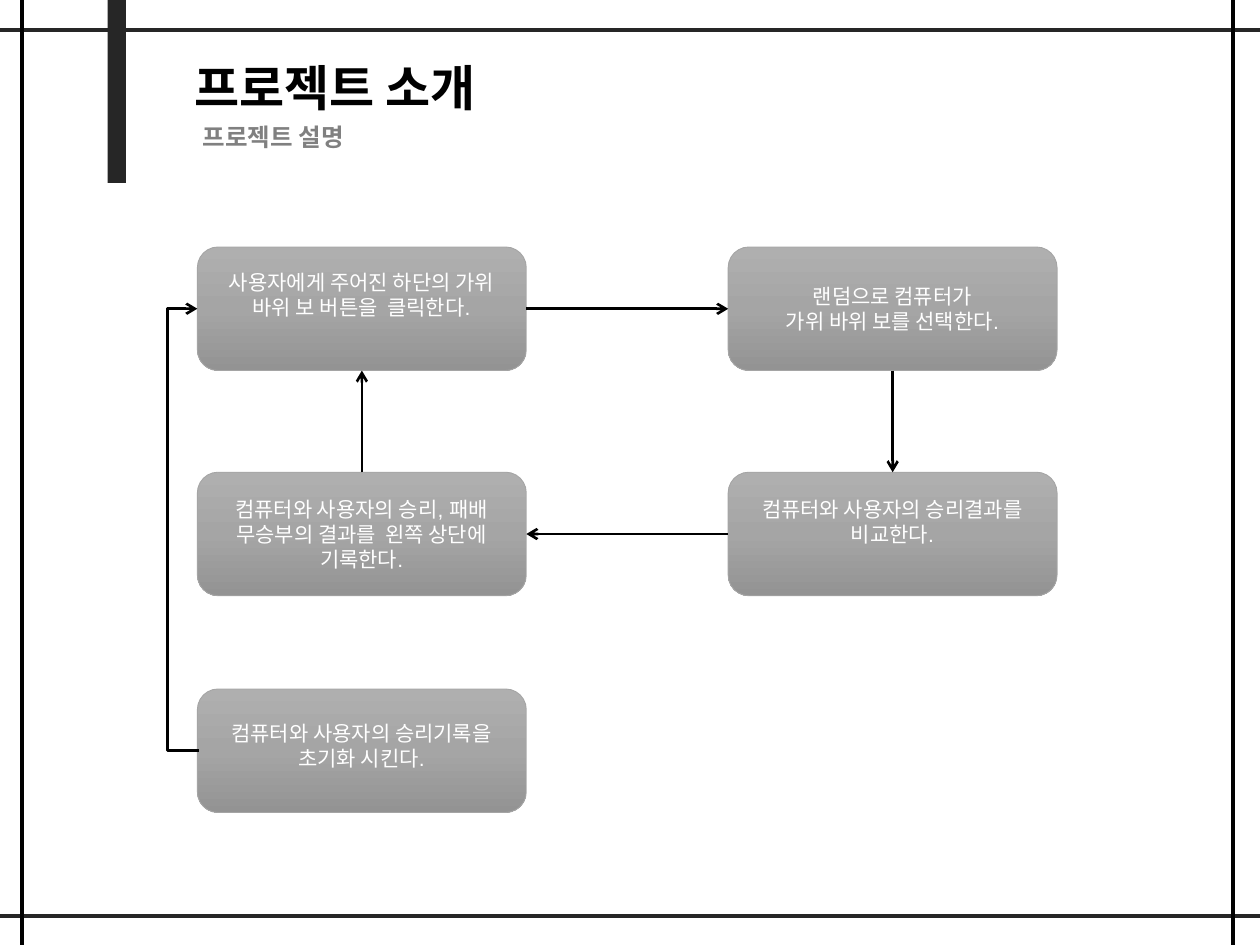
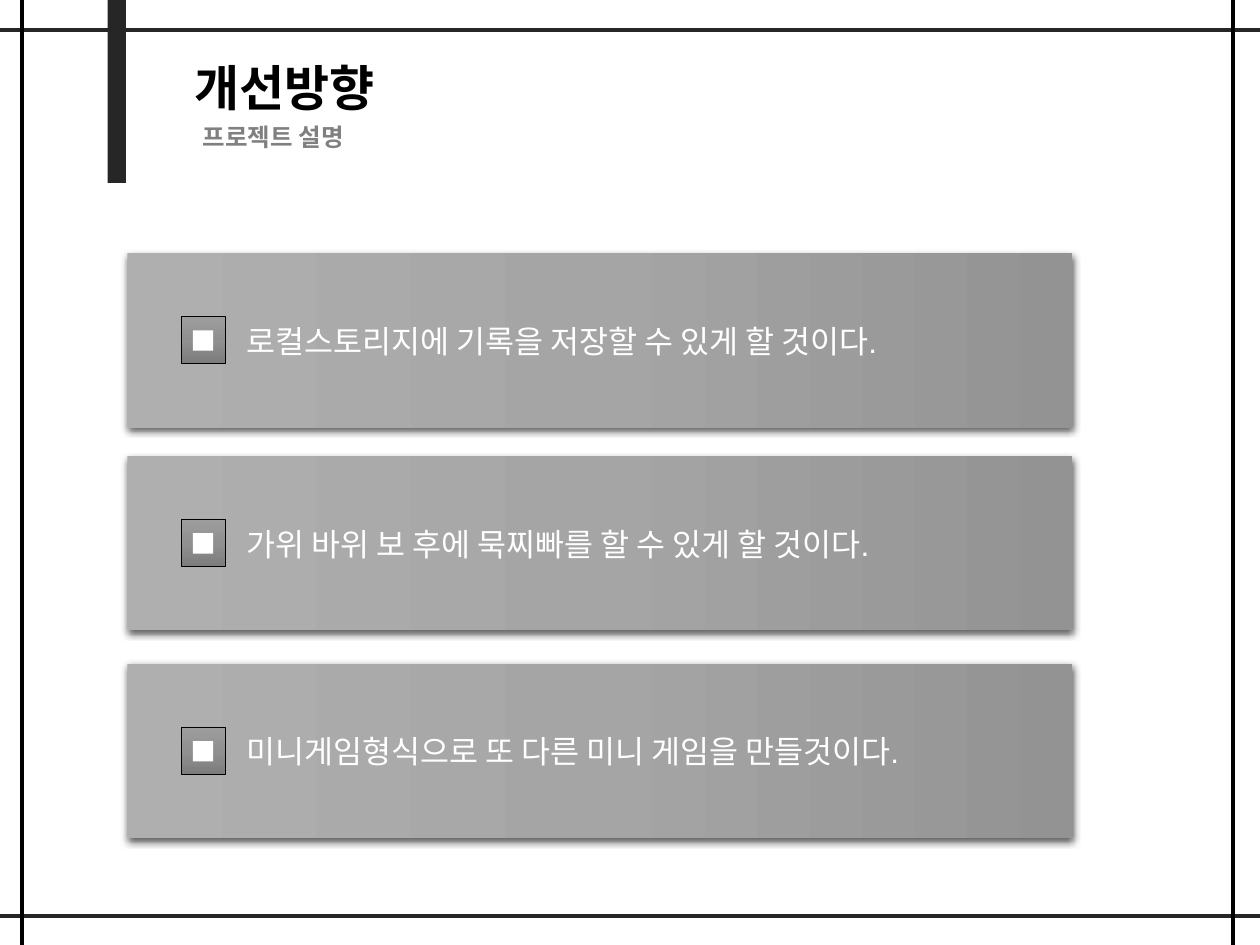
"""Build two slides on a rock-paper-scissors project: its flow and its improvements."""
import copy

import pptx
import pptx.dml.color
import pptx.enum.shapes
import pptx.enum.text
import pptx.oxml
import pptx.oxml.ns
import pptx.util
from lxml import etree

Cm = pptx.util.Cm
Pt = pptx.util.Pt
RGBColor = pptx.dml.color.RGBColor
SHAPE = pptx.enum.shapes.MSO_SHAPE
CONNECTOR = pptx.enum.shapes.MSO_CONNECTOR
ALIGN = pptx.enum.text.PP_ALIGN
qn = pptx.oxml.ns.qn

BLACK = RGBColor(0x00, 0x00, 0x00)
WHITE = RGBColor(0xFF, 0xFF, 0xFF)
CHARCOAL = RGBColor(0x26, 0x26, 0x26)
SUBTITLE_GRAY = RGBColor(0x80, 0x80, 0x80)
MID_GRAY = RGBColor(0xA5, 0xA5, 0xA5)
PANEL_GRAYS = (RGBColor(0xAF, 0xAF, 0xAF), MID_GRAY, RGBColor(0x93, 0x93, 0x93))
BADGE_GRAYS = (RGBColor(0x9D, 0x9D, 0x9D), RGBColor(0x90, 0x90, 0x90), RGBColor(0x7C, 0x7C, 0x7C))
DOWNWARD, RIGHTWARD = 270, 0

SLIDE_W, SLIDE_H = 25.4, 19.05
STEP_W, STEP_H = 6.63, 2.49
COLUMNS = (3.98, 14.68)
ROWS = (4.98, 9.52, 13.89)
BAR_LEFT, BAR_W, BAR_H = 2.57, 19.05, 3.51

STEPS = {
    "click": (0, 0, 0.33, ["사용자에게 주어진 하단의 가위 바위 보 버튼을  클릭한다."]),
    "choose": (1, 0, 0.61, ["랜덤으로 컴퓨터가", "가위 바위 보를 선택한다."]),
    "compare": (1, 1, 0.36, ["컴퓨터와 사용자의 승리결과를", "비교한다."]),
    "record": (0, 1, 0.36, ["컴퓨터와 사용자의 승리, 패배", "무승부의 결과를  왼쪽 상단에", "기록한다."]),
    "reset": (0, 2, 0.51, ["컴퓨터와 사용자의 승리기록을 초기화 시킨다."]),
}
FLOW = [("click", 3, "choose", 1), ("choose", 2, "compare", 0),
        ("compare", 1, "record", 3), ("record", 0, "click", 2)]
IMPROVEMENTS = [
    (5.11, "로컬스토리지에 기록을 저장할 수 있게 할 것이다."),
    (9.2, "가위 바위 보 후에 묵찌빠를 할 수 있게 할 것이다."),
    (13.39, "미니게임형식으로 또 다른 미니 게임을 만들것이다."),
]


def write(frame, lines, size, color, font="Arial", bold=False, align=ALIGN.LEFT):
    """Fill a text frame with one paragraph per line in a single style."""
    frame.word_wrap = True
    frame.auto_size = pptx.enum.text.MSO_AUTO_SIZE.NONE
    frame.vertical_anchor = pptx.enum.text.MSO_ANCHOR.TOP
    frame.text = "\n".join(lines)
    for paragraph in frame.paragraphs:
        paragraph.alignment = align
        paragraph.font.name = font
        paragraph.font.size = Pt(size)
        paragraph.font.bold = bold
        paragraph.font.color.rgb = color


def add_text(slide, left, top, width, height, lines, size, color, **style):
    """Add a text box and return its frame."""
    frame = slide.shapes.add_textbox(Cm(left), Cm(top), Cm(width), Cm(height)).text_frame
    write(frame, lines, size, color, **style)
    return frame


def add_block(slide, kind, left, top, width, height, fill, angle=DOWNWARD, outline=None):
    """Add a shape with a solid colour or a three-stop gradient."""
    block = slide.shapes.add_shape(kind, Cm(left), Cm(top), Cm(width), Cm(height))
    block.shadow.inherit = False
    if isinstance(fill, RGBColor):
        block.fill.solid()
        block.fill.fore_color.rgb = fill
    else:
        block.fill.gradient()
        block.fill.gradient_angle = angle
        stop_list = block._element.spPr.find(".//" + qn("a:gsLst"))
        stop_list.append(copy.deepcopy(stop_list[0]))
        for index, (stop, color) in enumerate(zip(block.fill.gradient_stops, fill)):
            stop.position = index / 2
            stop.color.rgb = color
    if outline is None:
        block.line.fill.background()
    else:
        block.line.color.rgb = outline
        block.line.width = Pt(0.5)
    return block


def add_line(slide, x1, y1, x2, y2, color, weight, kind=CONNECTOR.STRAIGHT, arrow=False):
    """Add a connector without shadow, with an arrowhead at its end if asked."""
    line = slide.shapes.add_connector(kind, Cm(x1), Cm(y1), Cm(x2), Cm(y2))
    line.line.color.rgb = color
    line.line.width = Pt(weight)
    properties = line._element.spPr
    if arrow:
        etree.SubElement(properties.find(qn("a:ln")), qn("a:tailEnd"), type="arrow")
    etree.SubElement(properties, qn("a:effectLst"))
    return line


def add_page(deck, title, title_width):
    """Add a slide with the shared frame lines, title and subtitle."""
    slide = deck.slides.add_slide(deck.slide_layouts[5])
    for y in (0.61, 18.47):
        add_line(slide, 0, y, SLIDE_W, y, CHARCOAL, 2.25)
    for x in (0.44, 24.85):
        add_line(slide, x, 0, x, SLIDE_H, BLACK, 2.25)
    add_block(slide, SHAPE.RECTANGLE, 2.17, 0, 0.37, 3.69, CHARCOAL)
    heading = slide.shapes.title
    heading.left, heading.top = Cm(3.66), Cm(1.04)
    heading.width, heading.height = Cm(title_width), Cm(1.45)
    write(heading.text_frame, [title], 28, BLACK, font="Calibri", bold=True)
    add_text(slide, 3.84, 2.34, 3.68, 0.86, ["프로젝트 설명"], 14, SUBTITLE_GRAY, bold=True)
    return slide


def add_step(slide, left, top, text_offset, lines):
    """Add one step of the flow with its text."""
    step = add_block(slide, SHAPE.FLOWCHART_ALTERNATE_PROCESS, left, top, STEP_W, STEP_H,
                     PANEL_GRAYS, outline=MID_GRAY)
    add_text(slide, left + 0.17, top + text_offset, 6.28, STEP_H - 2 * text_offset,
             lines, 12, WHITE, align=ALIGN.CENTER)
    return step


def add_return_path(slide, left, start_y, end_y):
    """Lead from the reset step around the left side to the first step."""
    overlap, reach = 0.03, 0.63
    path = add_line(slide, left + overlap, start_y, left, end_y, BLACK, 1.5,
                    CONNECTOR.ELBOW, arrow=True)
    guides = path._element.spPr.find(qn("a:prstGeom")).get_or_add_avLst()
    etree.SubElement(guides, qn("a:gd"), name="adj1",
                     fmla=f"val {round(reach / overlap * 100000)}")


def add_flow_slide(deck):
    """Build the slide that explains the game as a flow."""
    slide = add_page(deck, "프로젝트 소개", 6.96)
    steps = {name: add_step(slide, COLUMNS[column], ROWS[row], offset, lines)
             for name, (column, row, offset, lines) in STEPS.items()}
    for source, source_side, target, target_side in FLOW:
        arrow = add_line(slide, 0, 0, 1, 1, BLACK, 1.5, arrow=True)
        arrow.begin_connect(steps[source], source_side)
        arrow.end_connect(steps[target], target_side)
    add_return_path(slide, COLUMNS[0], ROWS[2] + STEP_H / 2, ROWS[0] + STEP_H / 2)


def add_improvement(slide, left, top, sentence):
    """Add a shaded bar with a square badge and a sentence."""
    bar = add_block(slide, SHAPE.RECTANGLE, left, top, BAR_W, BAR_H, PANEL_GRAYS, RIGHTWARD)
    effects = bar._element.spPr.find(qn("a:effectLst"))
    shadow = etree.SubElement(effects, qn("a:outerShdw"), blurRad=str(Pt(4.5)),
                              dist=str(Pt(1.5)), dir="5400000", rotWithShape="0")
    shade = etree.SubElement(shadow, qn("a:srgbClr"), val=str(BLACK))
    etree.SubElement(shade, qn("a:alpha"), val="63000")
    add_block(slide, SHAPE.RECTANGLE, left + 1.08, top + 1.28, 0.9, 0.94, BADGE_GRAYS, outline=BLACK)
    add_block(slide, SHAPE.RECTANGLE, left + 1.32, top + 1.55, 0.41, 0.41, WHITE)
    frame = add_text(slide, left + 2, top + 1.25, 16.56, 1.02, [sentence], 18, WHITE)
    frame.margin_left = Cm(0.4)


def add_improvement_slide(deck):
    """Build the slide that lists the planned improvements."""
    slide = add_page(deck, "개선방향", 4.72)
    for top, sentence in IMPROVEMENTS:
        add_improvement(slide, BAR_LEFT, top, sentence)


def main():
    """Build and save the deck."""
    deck = pptx.Presentation()
    deck.slide_width, deck.slide_height = Cm(SLIDE_W), Cm(SLIDE_H)
    add_flow_slide(deck)
    add_improvement_slide(deck)
    deck.save("out.pptx")


if __name__ == "__main__":
    main()
